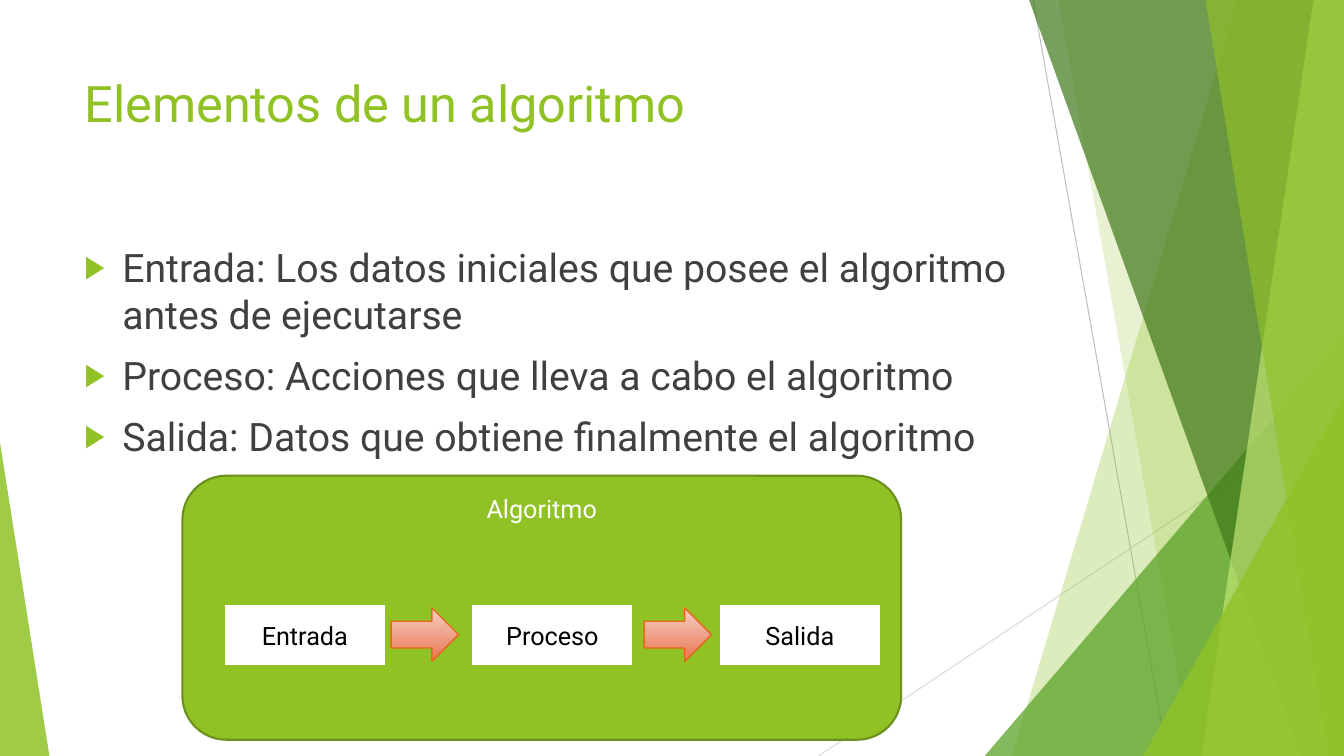
"""Build the slide on the elements of an algorithm."""
from typing import NamedTuple

from lxml import etree
from pptx import Presentation, util as u
from pptx.dml.color import RGBColor
from pptx.enum import shapes as s, text as t
from pptx.oxml.ns import qn

HUES = {
    "lime": "90C226", "leaf": "54A021", "moss": "3F7819", "pale": "C0E474",
    "rim": "6B901C", "grey": "BFBFBF", "mist": "D9D9D9", "ink": "404040",
    "white": "FFFFFF", "black": "000000",
    "blush": "F5CEC5", "coral": "EA815F", "rust": "E76618",
}
FONT = "Roboto"
WIDE, HIGH = 960, 540


class Box(NamedTuple):
    left: float
    top: float
    width: float
    height: float


class Ray(NamedTuple):
    start: tuple[float, float]
    end: tuple[float, float]
    hue: str


class Facet(NamedTuple):
    head: float
    foot: float
    hue: str
    alpha: int


class Wedge(NamedTuple):
    box: Box
    apex: float
    hue: str
    alpha: int


RAYS = [
    Ray((738, 0), (833.8, HIGH), "grey"),
    Ray((WIDE, 290.2), (584.6, HIGH), "mist"),
]
DECOR = [
    Facet(884.2, 722.9, "lime", 30),
    Facet(756, 851.8, "lime", 20),
    Wedge(Box(703.4, 239.8, 256.6, 300.2), 1, "leaf", 72),
    Facet(735.1, 929.5, "moss", 70),
    Facet(938.2, 858.2, "pale", 70),
    Facet(861.1, 949, "lime", 65),
    Wedge(Box(816.5, 283, 143.5, 257), 1, "lime", 80),
    Wedge(Box(0, 316.1, 35.3, 223.9), 0, "lime", 85),
]
POINTS = [
    "Entrada: Los datos iniciales que posee el algoritmo antes de ejecutarse",
    "Proceso: Acciones que lleva a cabo el algoritmo",
    "Salida: Datos que obtiene finalmente el algoritmo",
]
STEPS = ["Entrada", "Proceso", "Salida"]


def tint(name: str) -> RGBColor:
    """Look up a colour by name."""
    return RGBColor.from_string(HUES[name])


def pts(*nums: float) -> list[u.Length]:
    """Turn numbers into point lengths."""
    return [u.Pt(num) for num in nums]


def paint(shape, hue: str, alpha: int = 100) -> None:
    """Fill a shape, with opacity in percent, and drop its shadow and line."""
    shape.shadow.inherit = False
    shape.line.fill.background()
    shape.fill.solid()
    shape.fill.fore_color.rgb = tint(hue)
    if alpha < 100:
        tone = shape.fill._xPr.find(".//" + qn("a:srgbClr"))
        etree.SubElement(tone, qn("a:alpha"), val=str(alpha * 1000))


def edge(shape, hue: str, width: float) -> None:
    """Set the line of a shape."""
    shape.line.color.rgb = tint(hue)
    shape.line.width = u.Pt(width)


def write(para, words: str, size: float, hue: str) -> None:
    """Add one run to a paragraph."""
    run = para.add_run()
    run.text = words
    run.font.name = FONT
    run.font.size = u.Pt(size)
    run.font.color.rgb = tint(hue)


def draw_ray(tree, ray: Ray) -> None:
    """Draw a thin line."""
    line = tree.add_connector(s.MSO_CONNECTOR.STRAIGHT, *pts(*ray.start, *ray.end))
    edge(line, ray.hue, 0.75)
    etree.SubElement(line._element.spPr, qn("a:effectLst"))


def draw_facet(tree, facet: Facet) -> None:
    """Draw a band that runs to the right edge of the slide."""
    pen = tree.build_freeform(*pts(facet.head, 0))
    ends = [(WIDE, 0), (WIDE, HIGH), (facet.foot, HIGH)]
    pen.add_line_segments([pts(*end) for end in ends], close=True)
    paint(pen.convert_to_shape(), facet.hue, facet.alpha)


def draw_wedge(tree, wedge: Wedge) -> None:
    """Draw a right-angled triangle."""
    shape = tree.add_shape(s.MSO_SHAPE.ISOSCELES_TRIANGLE, *pts(*wedge.box))
    shape.adjustments[0] = wedge.apex
    paint(shape, wedge.hue, wedge.alpha)


def draw_card(tree, kind: s.MSO_SHAPE, box: Box, words: str, fill: str,
              rim: str, ink: str, anchor: t.MSO_ANCHOR) -> None:
    """Draw a filled shape with a centred label."""
    card = tree.add_shape(kind, *pts(*box))
    paint(card, fill)
    edge(card, rim, 1.5)
    card.text_frame.word_wrap = True
    card.text_frame.vertical_anchor = anchor
    para = card.text_frame.paragraphs[0]
    para.alignment = t.PP_ALIGN.CENTER
    write(para, words, 18, ink)


def draw_arrow(tree, box: Box) -> None:
    """Draw a shaded arrow."""
    arrow = tree.add_shape(s.MSO_SHAPE.RIGHT_ARROW, *pts(*box))
    arrow.shadow.inherit = False
    arrow.fill.gradient()
    arrow.fill.gradient_angle = 270
    for stop, (place, hue) in zip(arrow.fill.gradient_stops, [(0, "blush"), (0.88, "coral")]):
        stop.position = place
        stop.color.rgb = tint(hue)
    edge(arrow, "rust", 1)


def set_title(title, box: Box, words: str) -> None:
    """Place and fill the title."""
    title.left, title.top, title.width, title.height = pts(*box)
    frame = title.text_frame
    frame.word_wrap = True
    frame.auto_size = t.MSO_AUTO_SIZE.NONE
    frame.vertical_anchor = t.MSO_ANCHOR.TOP
    para = frame.paragraphs[0]
    para.alignment = t.PP_ALIGN.LEFT
    write(para, words, 36, "lime")


def draw_list(tree, box: Box, items: list[str]) -> None:
    """Draw the bulleted list."""
    frame = tree.add_textbox(*pts(*box)).text_frame
    frame.word_wrap = True
    for num, item in enumerate(items):
        para = frame.add_paragraph() if num else frame.paragraphs[0]
        para.space_before = u.Pt(10)
        props = para._p.get_or_add_pPr()
        props.set("marL", str(u.Pt(27)))
        props.set("indent", str(-u.Pt(27)))
        tone = etree.SubElement(props, qn("a:buClr"))
        etree.SubElement(tone, qn("a:srgbClr"), val=HUES["lime"])
        etree.SubElement(props, qn("a:buSzPct"), val="80000")
        etree.SubElement(props, qn("a:buFont"), typeface=FONT)
        etree.SubElement(props, qn("a:buChar"), char="▶")
        write(para, item, 28, "ink")


def main() -> None:
    """Build and save the deck."""
    deck = Presentation()
    deck.slide_width, deck.slide_height = pts(WIDE, HIGH)
    slide = deck.slides.add_slide(deck.slide_layouts[5])
    tree = slide.shapes
    for ray in RAYS:
        draw_ray(tree, ray)
    for part in DECOR:
        if isinstance(part, Facet):
            draw_facet(tree, part)
        else:
            draw_wedge(tree, part)
    set_title(tree.title, Box(53.3, 48.2, 676.8, 103.7), "Elementos de un algoritmo")
    draw_list(tree, Box(53.3, 169.9, 676.8, 305.3), POINTS)
    draw_card(tree, s.MSO_SHAPE.ROUNDED_RECTANGLE, Box(130.3, 339.8, 513.4, 188.6),
              "Algoritmo", "lime", "rim", "white", t.MSO_ANCHOR.TOP)
    for num, step in enumerate(STEPS):
        draw_card(tree, s.MSO_SHAPE.RECTANGLE, Box(159.8 + 176.8 * num, 431.3, 115.9, 44.6),
                  step, "white", "lime", "black", t.MSO_ANCHOR.MIDDLE)
    for num in range(len(STEPS) - 1):
        draw_arrow(tree, Box(279.4 + 180.7 * num, 434.2, 48.2, 38.2))
    deck.save("out.pptx")


main()
